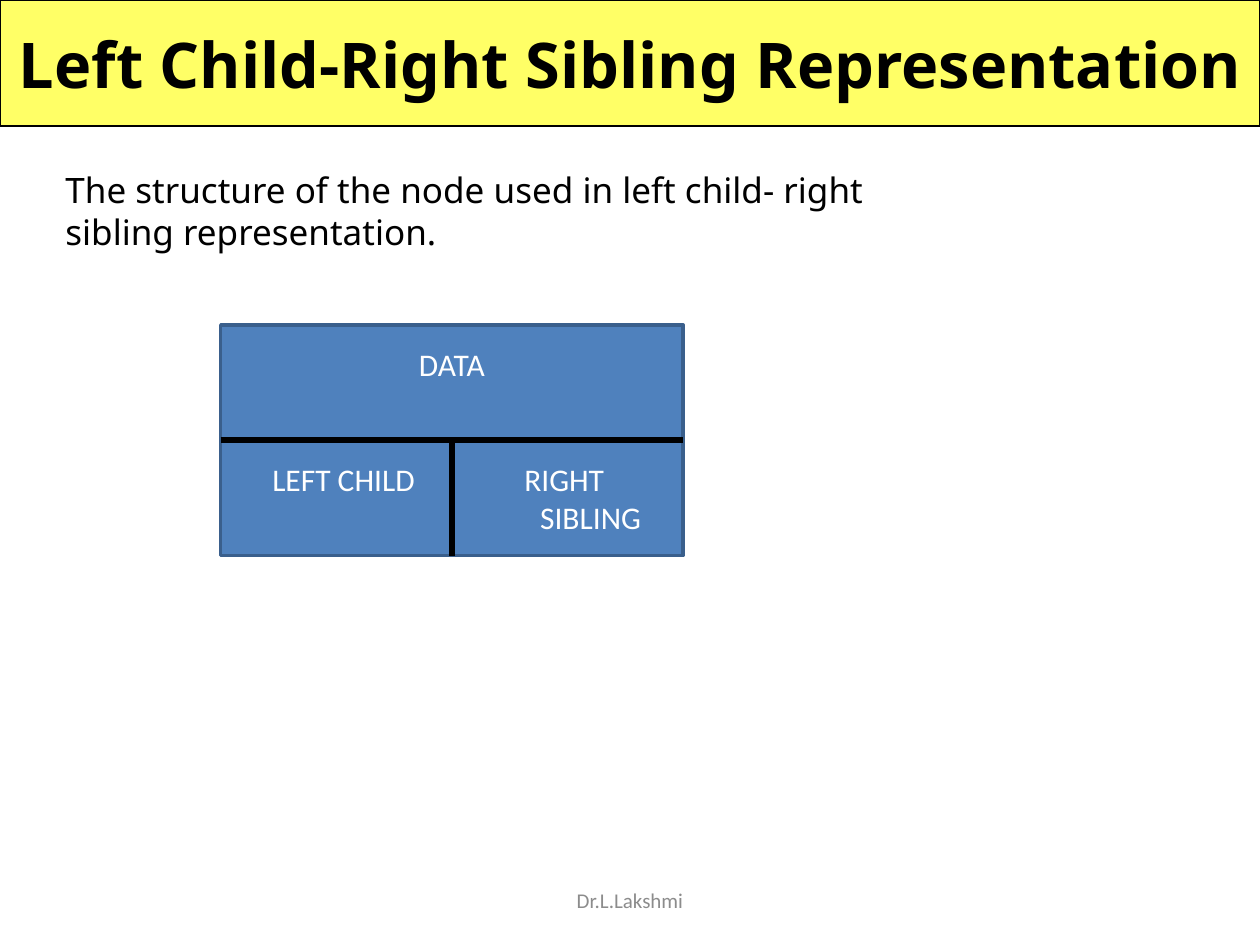
"""Build the left child-right sibling node slide."""
from lxml.etree import SubElement
from pptx import Presentation
from pptx.dml.color import RGBColor
from pptx.enum.shapes import MSO_CONNECTOR, MSO_SHAPE
from pptx.enum.text import MSO_ANCHOR, PP_ALIGN
from pptx.oxml.ns import qn
from pptx.util import Cm, Pt

BLACK = RGBColor(0x00, 0x00, 0x00)
WHITE = RGBColor(0xFF, 0xFF, 0xFF)
YELLOW = RGBColor(0xFF, 0xFF, 0x66)
BLUE = RGBColor(0x4F, 0x81, 0xBD)
DARK_BLUE = RGBColor(0x3A, 0x5F, 0x8C)
GRAY = RGBColor(0x8C, 0x8C, 0x8C)

TITLE = "Left Child-Right Sibling Representation"
INTRO = "The structure of the node used in left child- right sibling representation."
FOOTER = "Dr.L.Lakshmi"
NODE = [
    # text, alignment, space before (pt), tab stops (cm)
    ("DATA", PP_ALIGN.CENTER, 0, []),
    ("\tLEFT CHILD\tRIGHT", PP_ALIGN.LEFT, 44, [0.79, 5.87]),
    ("\tSIBLING", PP_ALIGN.LEFT, 0, [6.19]),
]
NODE_BOX = (4.45, 6.55, 9.32, 4.65)


def add_text(p, text, font, size, color, align, bold=False):
    p.alignment = align
    r = p.add_run()
    r.text = text
    r.font.name, r.font.size, r.font.bold = font, Pt(size), bold
    r.font.color.rgb = color


def add_rect(s, box, fill, line, width):
    sp = s.shapes.add_shape(MSO_SHAPE.RECTANGLE, *map(Cm, box))
    sp.shadow.inherit = False
    sp.fill.solid()
    sp.fill.fore_color.rgb = fill
    sp.line.color.rgb = line
    sp.line.width = Pt(width)
    sp.text_frame.vertical_anchor = MSO_ANCHOR.MIDDLE
    return sp


def add_box(s, box, anchor):
    tf = s.shapes.add_textbox(*map(Cm, box)).text_frame
    tf.word_wrap = True
    tf.vertical_anchor = anchor
    return tf.paragraphs[0]


def add_tabs(p, stops):
    tabs = SubElement(p._p.get_or_add_pPr(), qn("a:tabLst"))
    for stop in stops:
        SubElement(tabs, qn("a:tab"), pos=str(Cm(stop)), algn="l")


def add_divider(s, x1, y1, x2, y2):
    c = s.shapes.add_connector(MSO_CONNECTOR.STRAIGHT, *map(Cm, (x1, y1, x2, y2)))
    c.line.color.rgb = BLACK
    c.line.width = Pt(3.25)
    SubElement(c._element.spPr, qn("a:effectLst"))
    return c


def main():
    prs = Presentation()
    prs.slide_width, prs.slide_height = Cm(25.4), Cm(19.05)
    s = prs.slides.add_slide(prs.slide_layouts[6])

    tf = add_rect(s, (0, 0, 25.4, 2.54), YELLOW, BLACK, 0.75).text_frame
    tf.word_wrap = False
    add_text(tf.paragraphs[0], TITLE, "Noto Sans", 36, BLACK, PP_ALIGN.CENTER, True)

    p = add_box(s, (1.07, 3.28, 18.62, 8.89), MSO_ANCHOR.TOP)
    add_text(p, INTRO, "Noto Sans", 20, BLACK, PP_ALIGN.LEFT)

    node = add_rect(s, NODE_BOX, BLUE, DARK_BLUE, 2)
    tf = node.text_frame
    tf.word_wrap = True
    for i, (text, align, before, stops) in enumerate(NODE):
        p = tf.add_paragraph() if i else tf.paragraphs[0]
        if before:
            p.space_before = Pt(before)
        if stops:
            add_tabs(p, stops)
        add_text(p, text, "Calibri", 18, WHITE, align)

    x, y, w, h = NODE_BOX
    across = add_divider(s, x, y + h / 2, x + w, y + h / 2)
    across.begin_connect(node, 1)
    across.end_connect(node, 3)
    down = add_divider(s, x + w / 2, y + h, x + w / 2, y + h / 2)
    down.begin_connect(node, 2)

    p = add_box(s, (8.68, 17.65, 8.04, 1.01), MSO_ANCHOR.MIDDLE)
    add_text(p, FOOTER, "Calibri", 12, GRAY, PP_ALIGN.CENTER)

    prs.save("out.pptx")


if __name__ == "__main__":
    main()
